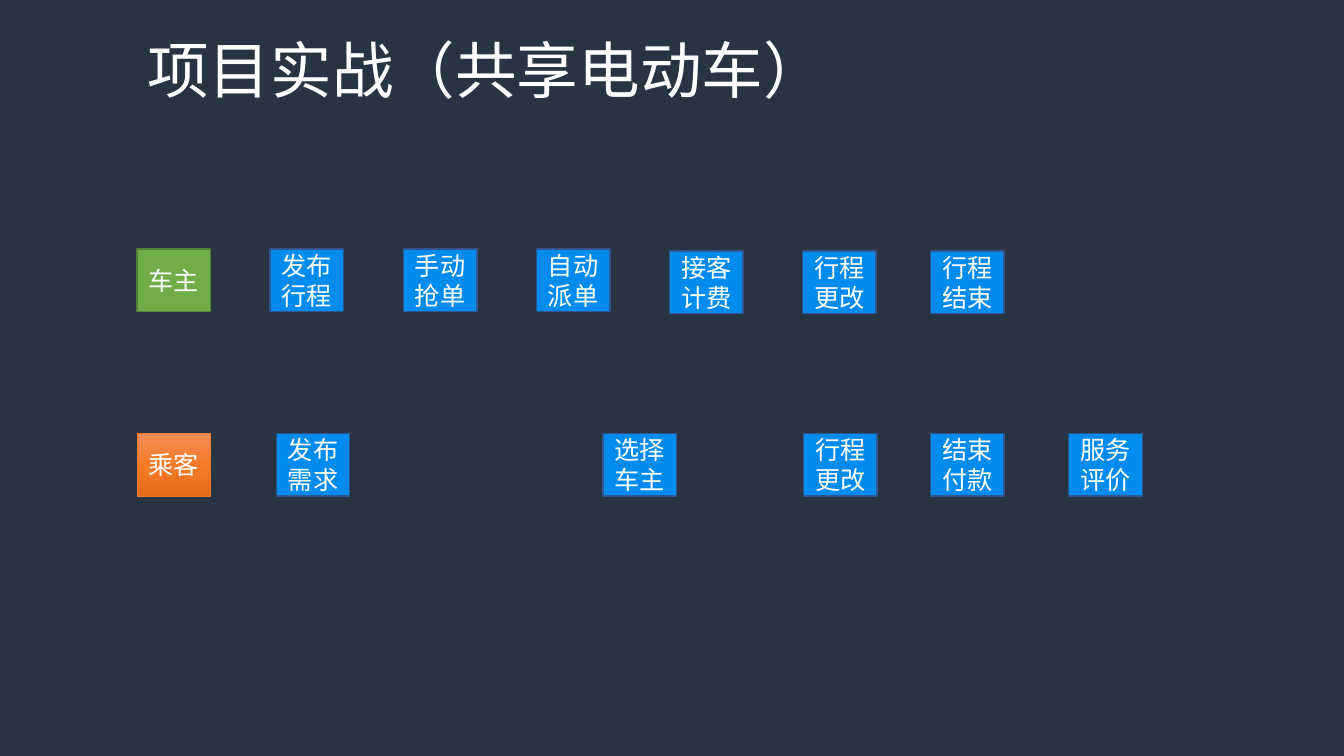
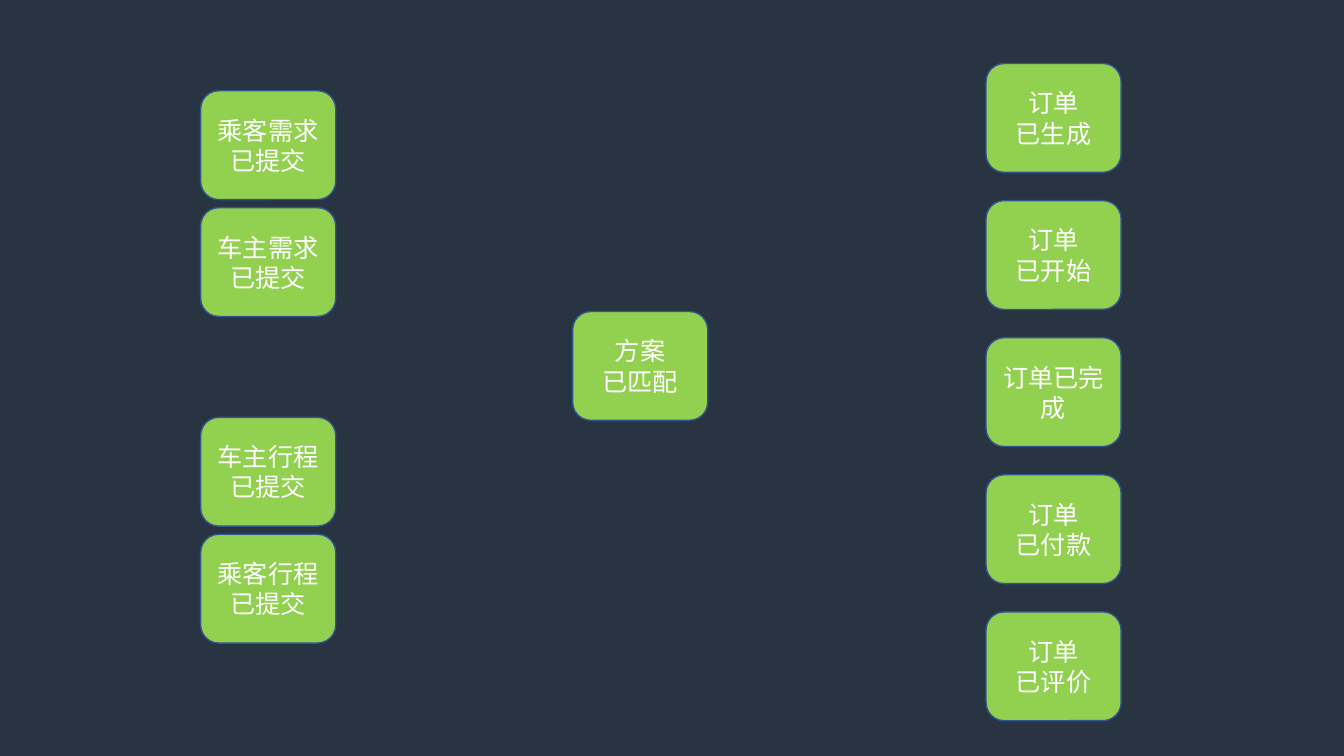
from copy import deepcopy

from lxml import etree
from pptx import Presentation
from pptx.dml.color import RGBColor
from pptx.enum.shapes import MSO_SHAPE
from pptx.enum.text import MSO_ANCHOR, PP_ALIGN
from pptx.oxml.ns import qn
from pptx.util import Inches, Pt

RECTANGLE = MSO_SHAPE.RECTANGLE
ROUNDED = MSO_SHAPE.ROUNDED_RECTANGLE
MIDDLE = MSO_ANCHOR.MIDDLE
LEFT, CENTER = PP_ALIGN.LEFT, PP_ALIGN.CENTER
TITLE_ONLY, BLANK = 5, 6

FONT = "Noto Sans CJK SC"
BACKGROUND, WHITE = "293442", "FFFFFF"
BLUE, BLUE_LINE = "008BEF", "325491"
GREEN, GREEN_LINE = "70AD47", "538035"
ORANGE_STOPS = [(0, "F18C57"), (0.5, "F67B28"), (1, "E56C19")]
ORANGE_LINE = "ED7D31"
LIME = "92D050"


def color(value):
    return RGBColor.from_string(value)


class Deck:
    """Shared style and the current slide."""

    def __init__(self):
        self.presentation = Presentation()
        self.presentation.slide_width = Inches(13.33)
        self.presentation.slide_height = Inches(7.5)
        fill = self.presentation.slide_master.background.fill
        fill.solid()
        fill.fore_color.rgb = color(BACKGROUND)
        self.slide = None

    def add_slide(self, layout):
        layouts = self.presentation.slide_layouts
        self.slide = self.presentation.slides.add_slide(layouts[layout])

    def add_text(self, shape, lines, size, alignment):
        frame = shape.text_frame
        frame.word_wrap = True
        frame.vertical_anchor = MIDDLE
        for index, line in enumerate(lines):
            paragraph = frame.add_paragraph() if index else frame.paragraphs[0]
            paragraph.alignment = alignment
            run = paragraph.add_run()
            run.text = line
            run.font.size = Pt(size)
            run.font.color.rgb = color(WHITE)
            run.font.name = FONT
            # Chinese characters take the East Asian font
            properties = run._r.get_or_add_rPr()
            etree.SubElement(properties, qn("a:ea")).set("typeface", FONT)

    def title(self, text):
        title = self.slide.shapes.title
        title.left, title.top = Inches(1.36), Inches(0)
        title.width, title.height = Inches(11.5), Inches(1.45)
        self.add_text(title, [text], 44, LEFT)
        title.text_frame.paragraphs[0].line_spacing = 0.9

    def gradient(self, shape, stops):
        shape.fill.gradient()
        shape.fill.gradient_angle = 270
        stop_list = shape._element.spPr.find(".//" + qn("a:gsLst"))
        while len(stop_list) < len(stops):
            stop_list.append(deepcopy(stop_list[0]))
        for stop, (position, value) in zip(shape.fill.gradient_stops, stops):
            stop.position = position
            stop.color.rgb = color(value)

    def box(self, kind, left, top, width, height, lines, fill, line, line_width=1):
        shape = self.slide.shapes.add_shape(
            kind, Inches(left), Inches(top), Inches(width), Inches(height))
        shape.shadow.inherit = False
        if isinstance(fill, list):
            self.gradient(shape, fill)
        else:
            shape.fill.solid()
            shape.fill.fore_color.rgb = color(fill)
        shape.line.color.rgb = color(line)
        shape.line.width = Pt(line_width)
        self.add_text(shape, lines, 18, CENTER)

    def step(self, left, top, text, fill=BLUE, line=BLUE_LINE, line_width=1):
        self.box(RECTANGLE, left, top, 0.73, 0.62, [text], fill, line, line_width)

    def state(self, left, top, *lines):
        self.box(ROUNDED, left, top, 1.34, 1.08, lines, LIME, BLUE_LINE)


def build_journey(deck):
    deck.add_slide(TITLE_ONLY)
    deck.title("项目实战（共享电动车）")

    # Car owner row
    first, pitch, owner_top, ride_top = 1.36, 1.32, 2.47, 2.49
    deck.step(first, owner_top, "车主", GREEN, GREEN_LINE)
    for index, text in enumerate(["发布行程", "手动抢单", "自动派单"], 1):
        deck.step(first + index * pitch, owner_top, text)
    for index, text in enumerate(["接客计费", "行程更改"], 4):
        deck.step(first + index * pitch, ride_top, text)
    deck.step(9.23, ride_top, "行程结束")

    # Passenger row
    passenger_top = 4.3
    deck.step(first, passenger_top, "乘客", ORANGE_STOPS, ORANGE_LINE, 0.5)
    passenger_steps = [(2.74, "发布需求"), (5.98, "选择车主"), (7.97, "行程更改"),
                       (9.23, "结束付款"), (10.6, "服务评价")]
    for left, text in passenger_steps:
        deck.step(left, passenger_top, text)


def build_states(deck):
    deck.add_slide(BLANK)

    # Submitted requests and trips, in two pairs
    pairs = [(0.9, ["乘客需求已提交", "车主需求已提交"]),
             (4.14, ["车主行程已提交", "乘客行程已提交"])]
    for top, texts in pairs:
        for index, text in enumerate(texts):
            deck.state(1.99, top + index * 1.16, text)

    # Matched plan
    deck.state(5.68, 3.09, "方案", "已匹配")

    # Order states
    orders = [("订单", "已生成"), ("订单", "已开始"), ("订单已完成",),
              ("订单", "已付款"), ("订单", "已评价")]
    for index, lines in enumerate(orders):
        deck.state(9.78, 0.63 + index * 1.36, *lines)


def main():
    deck = Deck()
    build_journey(deck)
    build_states(deck)
    deck.presentation.save("out.pptx")


if __name__ == "__main__":
    main()
